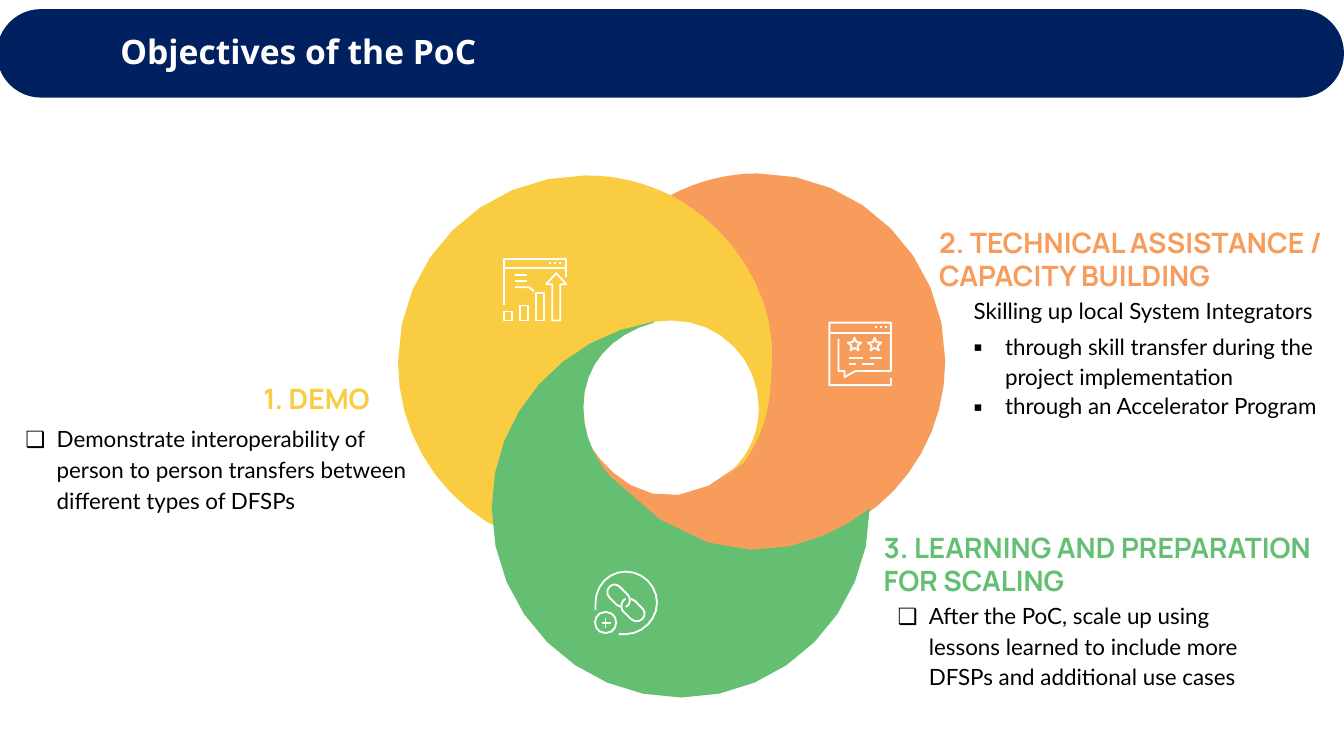
from math import cos, pi, sin
from typing import NamedTuple

from lxml.etree import SubElement
from pptx import Presentation
from pptx.dml.color import RGBColor
from pptx.enum.shapes import MSO_SHAPE
from pptx.enum.text import MSO_ANCHOR, PP_ALIGN
from pptx.oxml.ns import qn
from pptx.util import Cm, Pt

NAVY, WHITE, BLACK = "002060", "FFFFFF", "000000"
YELLOW, ORANGE, GREEN = "FACC41", "F89C5B", "65BF73"
UNIT = 0.0254  # cm per drawing unit of the wheel and its icons

# Outlines: a start point, then lines (x, y) or curves (two controls, end)
ORANGE_PETAL = [
    (357, 0), (326, 0, 296, 8, 270, 22), (282, 28, 292, 36, 303, 44),
    (344, 78, 374, 132, 370, 189), (367, 222, 368, 249, 342, 287),
    (247, 369, 191, 270, 191, 270), (196, 323, 268, 354, 268, 354),
    (293, 367, 327, 374, 358, 374), (394, 374, 428, 362, 456, 344),
    (509, 311, 543, 252, 543, 186), (543, 83, 460, 0, 357, 0)]
YELLOW_PETAL = [
    (255, 147), (261, 147, 266, 146, 272, 146),
    (320, 146, 358, 185, 358, 233), (358, 262, 344, 287, 321, 303),
    (343, 287), (369, 250, 369, 222, 371, 190),
    (375, 132, 345, 78, 304, 44), (294, 36, 283, 28, 271, 22),
    (245, 9, 217, 2, 186, 2), (83, 2, 0, 85, 0, 187),
    (0, 254, 35, 312, 87, 345), (95, 349),
    (94, 332), (94, 238, 165, 161, 255, 147)]
GREEN_PETAL = [
    (212, 302), (212, 302, 184, 276, 184, 232), (184, 190, 211, 160, 254, 148),
    (254, 147), (164, 161, 93, 238, 93, 332), (93, 436, 177, 520, 281, 520),
    (384, 520, 468, 436, 468, 332), (468, 332, 343, 443, 212, 302)]


def bar(x, top):
    return [(x, 62), (x, top), (x + 8, top), (x + 8, 62), (x, 62)]


def star(x, y, radius=7):
    return [(x + r * sin(k * pi / 5), y - r * cos(k * pi / 5))
            for k in range(11) for r in [radius * (0.45 if k % 2 else 1)]]


def window_bar(y):
    return [[(1, y), (62, y)]] + [[(x, y / 2), (x + 2, y / 2)] for x in (46, 51, 56)]


GROWTH_ICON = [
    [(1, 47), (1, 1), (63, 1), (63, 19)], *window_bar(10),
    bar(1, 53), bar(17, 47), bar(33, 35),
    [(49, 62), (49, 26), (43, 26), (53, 15), (63, 26), (57, 26), (57, 62), (49, 62)],
    [(12, 17), (24, 17)], [(12, 23), (24, 23)], [(12, 29), (26, 29), (31, 33)]]
REVIEW_ICON = [
    [(62, 56), (62, 63), (1, 63), (1, 1), (62, 1), (62, 49), (27, 49),
     (16, 55), (16, 49), (10, 49), (10, 17)], *window_bar(11),
    star(26, 23), star(46, 23),
    [(20, 36), (34, 36)], [(41, 36), (53, 36)], [(20, 42), (27, 42)], [(33, 42), (45, 42)]]
LINK_ICON = [
    [(1, 39), (1, 32), (1, 15, 14, 1, 31, 1), (48, 1, 62, 15, 62, 32),
     (62, 48, 48, 63, 31, 63), (24, 63)],
    [(11, 41), (25, 41, 25, 62, 11, 62), (-3, 62, -3, 41, 11, 41)],
    [(7, 52), (16, 52)], [(11, 47), (11, 57)],
    [(31, 36), (36, 34, 36, 27, 33, 24), (25, 16), (18, 9, 8, 20, 15, 27),
     (22, 34), (26, 36)],
    [(31, 28), (26, 30, 26, 37, 28, 40), (36, 48), (44, 55, 54, 45, 48, 38),
     (40, 30), (36, 28)]]


class Box(NamedTuple):
    left: float
    top: float
    width: float = 0
    height: float = 0

    def point(self, x, y):
        return Cm(self.left + x * UNIT), Cm(self.top + y * UNIT)

    def inner(self, x, y):
        return Box(self.left + x * UNIT, self.top + y * UNIT)


def color(value):
    return RGBColor.from_string(value)


def flatten(outline, steps):
    points = [outline[0]]
    for segment in outline[1:]:
        if len(segment) == 2:
            points.append(segment)
            continue
        corners = [points[-1], segment[:2], segment[2:4], segment[4:]]
        for step in range(1, steps + 1):
            t = step / steps
            weights = [(1 - t) ** 3, 3 * t * (1 - t) ** 2, 3 * t * t * (1 - t), t ** 3]
            points.append(tuple(sum(w * corner[axis] for w, corner in zip(weights, corners))
                                for axis in (0, 1)))
    return points


def style(shape, fill=None, line=None):
    shape.shadow.inherit = False
    if fill:
        shape.fill.solid()
        shape.fill.fore_color.rgb = color(fill)
    else:
        shape.fill.background()
    if line:
        shape.line.color.rgb = color(line)
        shape.line.width = Pt(1.3)
    else:
        shape.line.fill.background()
    return shape


def add_drawing(slide, box, outlines, fill=None, line=None, steps=8):
    """Draw all outlines as one freeform."""
    builder = None
    for outline in outlines:
        start, *points = [box.point(*point) for point in flatten(outline, steps)]
        if builder:
            builder.move_to(*start)
        else:
            builder = slide.shapes.build_freeform(*start)
        builder.add_line_segments(points, close=fill is not None)
    return style(builder.convert_to_shape(), fill, line)


def add_wheel(slide, box):
    for petal, fill in ((ORANGE_PETAL, ORANGE), (YELLOW_PETAL, YELLOW), (GREEN_PETAL, GREEN)):
        add_drawing(slide, box, [petal], fill)
    for icon, x, y in ((GROWTH_ICON, 104, 84), (REVIEW_ICON, 427, 147), (LINK_ICON, 195, 394)):
        add_drawing(slide, box.inner(x, y), icon, line=WHITE, steps=6)


def add_title(slide, box, text):
    banner = style(slide.shapes.add_shape(MSO_SHAPE.ROUNDED_RECTANGLE, *map(Cm, box)), NAVY)
    banner.adjustments[0] = 0.5
    frame = banner.text_frame
    frame.margin_left = Cm(2.79)
    frame.vertical_anchor = MSO_ANCHOR.MIDDLE
    paragraph = frame.paragraphs[0]
    paragraph.text = text
    paragraph.alignment = PP_ALIGN.LEFT
    paragraph.line_spacing = 0.9
    set_font(paragraph, "Noto Sans", 24, WHITE, True)


def set_font(paragraph, name, size, fill, bold=False):
    font = paragraph.font
    font.name, font.size, font.bold = name, Pt(size), bold
    font.color.rgb = color(fill)


def add_paragraphs(slide, box, texts):
    frame = slide.shapes.add_textbox(*map(Cm, box)).text_frame
    frame.word_wrap = True
    for index, text in enumerate(texts):
        paragraph = frame.add_paragraph() if index else frame.paragraphs[0]
        paragraph.text = text
    return frame


def add_objective(slide, box, heading, fill, body_box, body, align=PP_ALIGN.LEFT):
    """Body box is relative to the heading box; body rows are (bullet, spacing, text)."""
    place = body_box._replace(left=box.left + body_box.left, top=box.top + body_box.top)
    frame = add_paragraphs(slide, place, [text for _, _, text in body])
    frame.margin_left = frame.margin_right = Cm(0.13)
    frame.margin_top = frame.margin_bottom = Cm(0.08)
    for index, (paragraph, (bullet, spacing, _)) in enumerate(zip(frame.paragraphs, body)):
        paragraph.line_spacing = spacing
        if index:
            paragraph.space_before = Pt(3.2)
        if bullet:
            properties = paragraph._p.get_or_add_pPr()
            properties.set("marL", str(Cm(0.79)))
            properties.set("indent", str(-Cm(0.79)))
            SubElement(properties, qn("a:buFont")).set("typeface", "Noto Sans")
            SubElement(properties, qn("a:buChar")).set("char", bullet)
        set_font(paragraph, "Lato", 16, BLACK)

    for paragraph in add_paragraphs(slide, box, heading).paragraphs:
        paragraph.alignment = align
        set_font(paragraph, "Manrope", 20, fill, True)


def main():
    presentation = Presentation()
    presentation.slide_width, presentation.slide_height = Cm(33.87), Cm(19.05)
    slide = presentation.slides.add_slide(presentation.slide_layouts[6])
    add_wheel(slide, Box(10.03, 4.37))
    add_objective(slide, Box(23.42, 5.55, 10.52, 1.96),
                  ["2. TECHNICAL ASSISTANCE /", "CAPACITY BUILDING"], ORANGE,
                  Box(0.99, 1.93, 9.47, 3.25), [
        (None, Pt(17.5), "Skilling up local System Integrators"),
        ("▪", 1.14, "through skill transfer during the project implementation"),
        ("▪", Pt(17.5), "through an Accelerator Program")])
    add_objective(slide, Box(22.02, 13.24, 11.84, 1.96),
                  ["3. LEARNING AND PREPARATION", "FOR SCALING"], GREEN,
                  Box(0.47, 1.76, 9.88, 2.39), [
        ("❑", 1.14, "After the PoC, scale up using lessons learned to include more DFSPs "
                    "and additional use cases")])
    add_objective(slide, Box(3.25, 9.5, 6.32, 1.12), ["1. DEMO"], YELLOW,
                  Box(-2.74, 1.05, 9.98, 2.39), [
        ("❑", 1.14, "Demonstrate interoperability of person to person transfers between "
                    "different types of DFSPs")], PP_ALIGN.RIGHT)
    add_title(slide, Box(-0.08, 0.23, 33.95, 2.23), "Objectives of the PoC")
    presentation.save("out.pptx")


if __name__ == "__main__":
    main()
